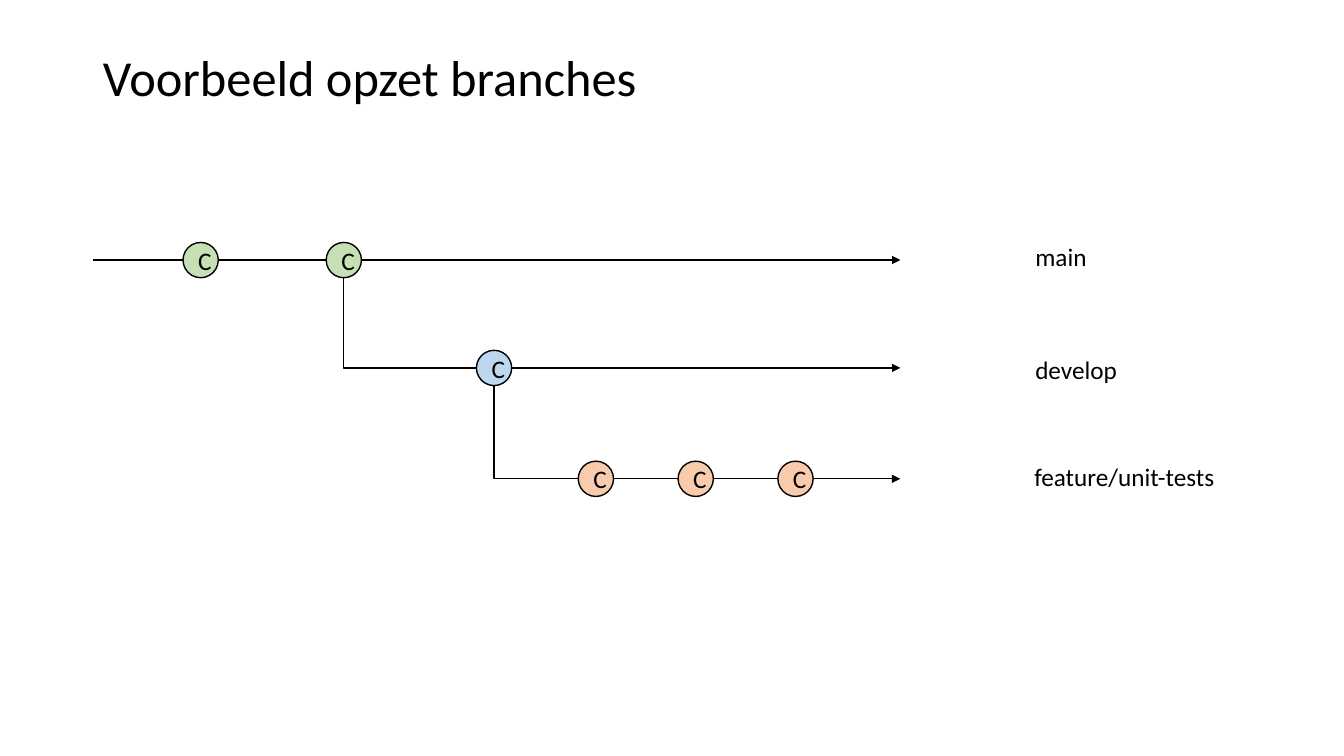
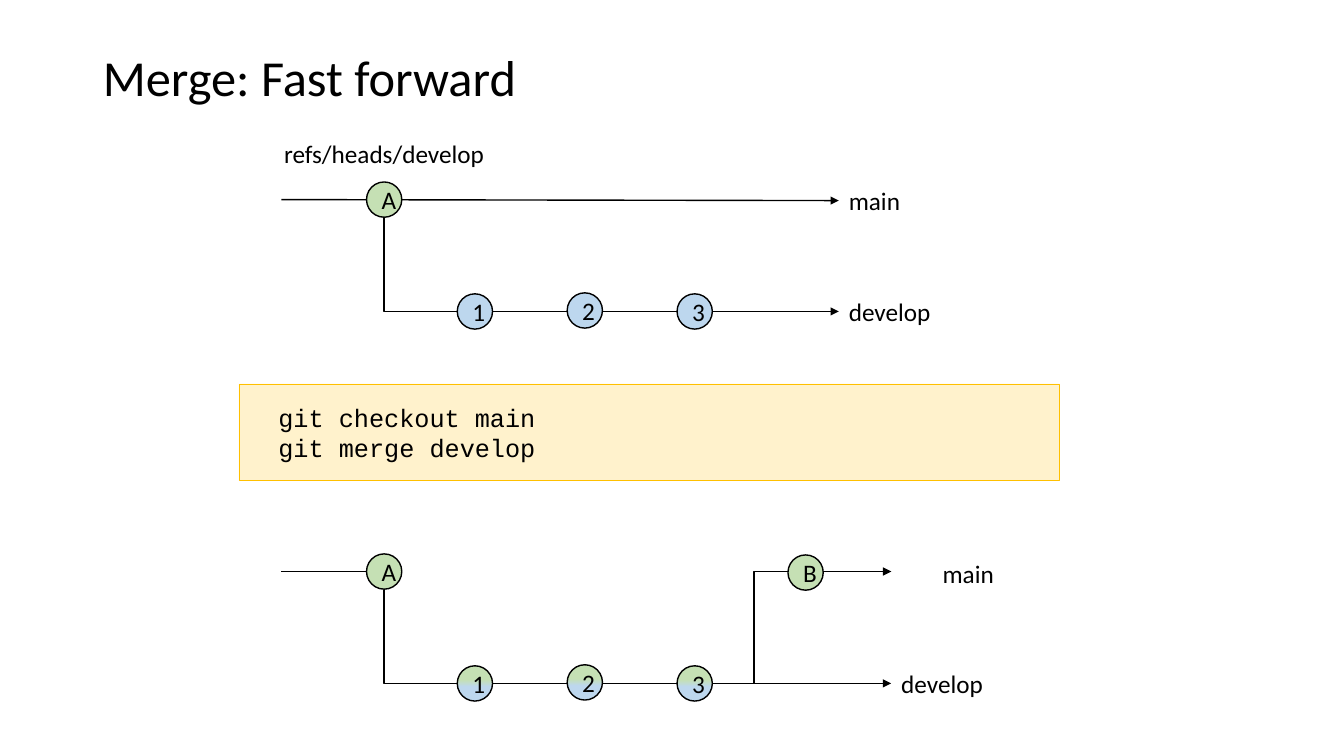
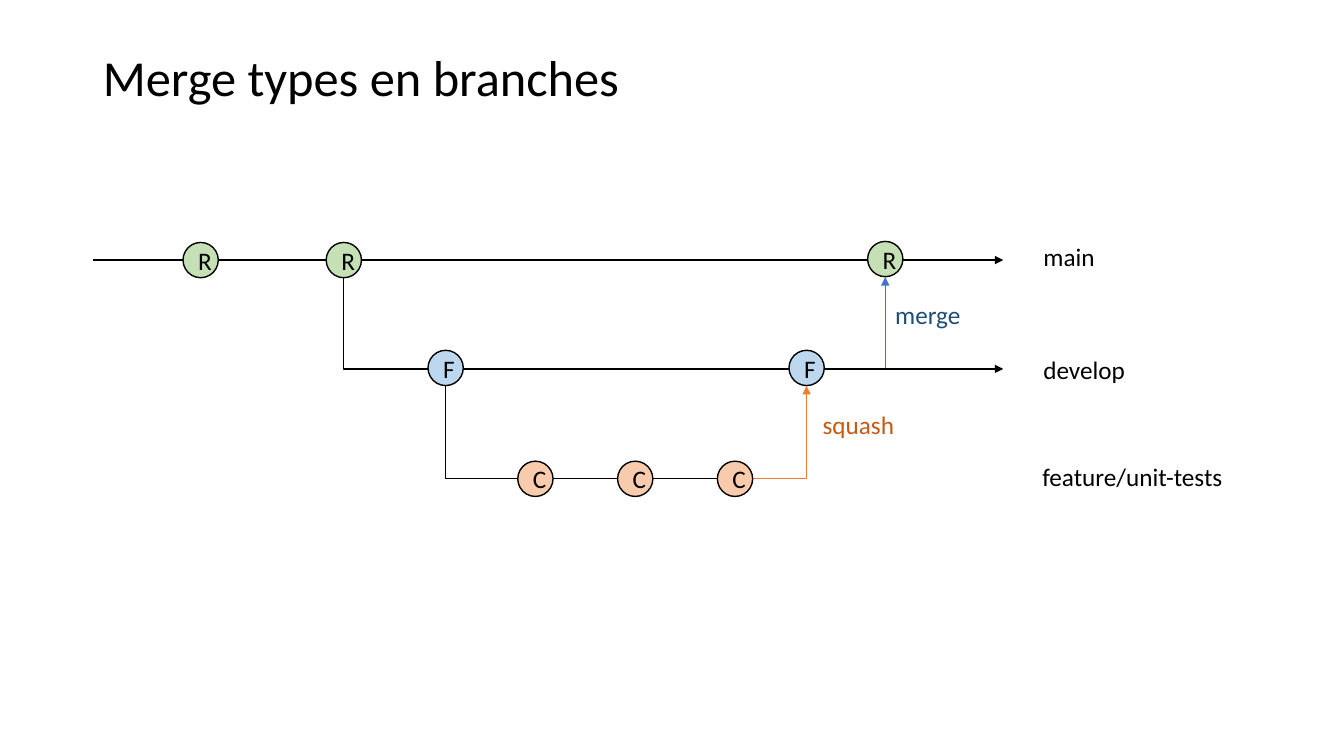
from lxml import etree
from pptx import Presentation
from pptx.dml.color import RGBColor
from pptx.enum.shapes import MSO_CONNECTOR as Link, MSO_SHAPE as Shape
from pptx.enum.text import MSO_ANCHOR as Anchor, PP_ALIGN as Align
from pptx.oxml.ns import qn
from pptx.util import Inches, Pt

# Shared style
BLACK, GREEN, BLUE, ORANGE = "000000", "C5E0B4", "BDD7EE", "F8CBAD"
MERGED = (GREEN, BLUE)
COMMIT_SIZE = 0.35
TITLE_BOX = (0.92, 0.4, 11.5, 0.79)
LABEL_HEIGHT = 0.4

# Rows of the three-branch graphs
MAIN, DEVELOP, FEATURE = 2.58, 3.65, 4.75
FEATURE_STEP = 0.99

# Fast forward graphs: before and after the merge
BEFORE, AFTER = 1.98, 5.67
DROP = 1.11
ROOT_X, FIRST_X, COMMIT_STEP = 3.81, 4.71, 1.09
COMMANDS = ["git checkout main", "git merge develop"]


def commit_row(labels, left, step, y, fill):
    return [(label, left + i * step, y, fill) for i, label in enumerate(labels)]


def develop_commits(main_y, fill):
    # The middle commit sits slightly higher than its neighbours
    row = commit_row("123", FIRST_X, COMMIT_STEP, main_y + DROP, fill)
    return [(label, x, y - 0.01 * (label == "2"), color) for label, x, y, color in row]


def branch_labels(left):
    return [("main", left, 2.34, 1.08, {}),
            ("develop", left, 3.47, 1.3, {}),
            ("feature/unit-tests", left - 0.01, 4.53, 2.19, {})]


# Lines: start, end, format. Commits: label, centre x, centre y, fill.
# Labels: text, left, top, width, format.
SLIDES = [
    dict(
        title="Voorbeeld opzet branches",
        lines=[((0.92, MAIN), (8.93, MAIN), dict(width=1.5)),
               ((3.41, 2.76), (8.93, DEVELOP), dict(bend=0)),
               ((4.9, 3.83), (8.93, FEATURE), dict(bend=0))],
        commits=[("C", 1.99, MAIN, GREEN), ("C", 3.41, MAIN, GREEN),
                 ("C", 4.9, DEVELOP, BLUE),
                 *commit_row("CCC", 5.91, FEATURE_STEP, FEATURE, ORANGE)],
        labels=branch_labels(10.17)),
    dict(
        title="Merge: Fast forward",
        lines=[((2.79, BEFORE), (8.32, BEFORE + 0.01), {}),
               ((ROOT_X, 2.15), (8.32, BEFORE + DROP), dict(bend=0)),
               ((2.79, AFTER), (3.63, AFTER), dict(arrow=False)),
               ((ROOT_X, 5.85), (8.84, AFTER + DROP), dict(bend=0)),
               ((7.07, AFTER + DROP), (8.84, AFTER), dict(bend=0.23))],
        commits=[("A", ROOT_X, BEFORE, GREEN), *develop_commits(BEFORE, BLUE),
                 ("A", ROOT_X, AFTER, GREEN), *develop_commits(AFTER, MERGED),
                 ("B", 7.99, AFTER + 0.01, GREEN)],
        labels=[("refs/heads/develop", 2.68, 1.32, 2.26, dict(align=Align.CENTER)),
                ("main", 8.32, 1.79, 1.08, {}),
                ("develop", 8.32, 2.89, 2.19, {}),
                ("main", 9.25, 5.49, 1.08, {}),
                ("develop", 8.84, 6.58, 1.67, {})],
        commands=COMMANDS),
    dict(
        title="Merge types en branches",
        lines=[((0.92, MAIN), (9.95, MAIN), dict(width=1.5)),
               ((3.41, 2.75), (9.95, 3.66), dict(bend=0)),
               ((4.42, 3.83), (7.11, FEATURE), dict(bend=0, arrow=False)),
               ((7.46, FEATURE), (8, 3.83), dict(corner=True, color="ED7D31")),
               ((8.78, DEVELOP), (8.78, 2.75), dict(color="4472C4"))],
        commits=[("R", 1.99, MAIN, GREEN), ("R", 3.41, MAIN, GREEN),
                 ("R", 8.78, MAIN - 0.01, GREEN),
                 ("F", 4.42, DEVELOP, BLUE), ("F", 8, DEVELOP, BLUE),
                 *commit_row("CCC", 5.31, FEATURE_STEP, FEATURE, ORANGE)],
        labels=branch_labels(10.25) + [
            ("squash", 8.06, 4.01, 1.1, dict(color="C55A11")),
            ("merge", 8.78, 2.92, 1.05, dict(color="1F4E79"))]),
]


def rgb(value):
    return RGBColor.from_string(value)


def write(frame, *texts, size=18, font="Calibri", color=BLACK, align=Align.LEFT,
          anchor=Anchor.TOP, spacing=None):
    frame.word_wrap = True
    frame.vertical_anchor = anchor
    for i, text in enumerate(texts):
        paragraph = frame.add_paragraph() if i else frame.paragraphs[0]
        paragraph.alignment = align
        paragraph.line_spacing = spacing
        run = paragraph.add_run()
        run.text = text
        run.font.size, run.font.name = Pt(size), font
        run.font.color.rgb = rgb(color)


def add_line(slide, start, end, bend=None, corner=False, color=BLACK, width=1, arrow=True):
    """bend: share of the width at which the line turns; corner: across, then up."""
    kind = Link.STRAIGHT if bend is None and not corner else Link.ELBOW
    line = slide.shapes.add_connector(kind, *map(Inches, start + end))
    line.line.color.rgb = rgb(color)
    line.line.width = Pt(width)
    properties = line._element.spPr
    geometry = properties.find(qn("a:prstGeom"))
    if corner:
        geometry.set("prst", "bentConnector2")
    elif bend is not None:
        guides = geometry.find(qn("a:avLst"))
        if guides is None:
            guides = etree.SubElement(geometry, qn("a:avLst"))
        etree.SubElement(guides, qn("a:gd"), name="adj1", fmla=f"val {round(bend * 100000)}")
    if arrow:
        etree.SubElement(properties.find(qn("a:ln")), qn("a:tailEnd"), type="triangle")
    etree.SubElement(properties, qn("a:effectLst"))


def add_box(slide, kind, box, fill, outline, width):
    shape = slide.shapes.add_shape(kind, *map(Inches, box))
    shape.shadow.inherit = False
    if isinstance(fill, tuple):
        shape.fill.gradient()
        shape.fill.gradient_angle = 270
        for stop, color, position in zip(shape.fill.gradient_stops, fill, (0.4, 0.6)):
            stop.color.rgb, stop.position = rgb(color), position
    else:
        shape.fill.solid()
        shape.fill.fore_color.rgb = rgb(fill)
    shape.line.color.rgb = rgb(outline)
    shape.line.width = Pt(width)
    return shape.text_frame


def add_commit(slide, label, x, y, fill):
    box = (x - COMMIT_SIZE / 2, y - COMMIT_SIZE / 2, COMMIT_SIZE, COMMIT_SIZE)
    frame = add_box(slide, Shape.OVAL, box, fill, BLACK, 1)
    write(frame, label, align=Align.CENTER, anchor=Anchor.MIDDLE)


def add_commands(slide, commands):
    frame = add_box(slide, Shape.RECTANGLE, (2.37, 3.81, 8.14, 0.96), "FFF2CC", "FFC000", 0.5)
    frame.margin_left = frame.margin_right = Inches(0.39)
    frame.margin_top = frame.margin_bottom = Inches(0.08)
    write(frame, *commands, font="Courier New", anchor=Anchor.MIDDLE)


def add_slide(deck, title, lines, commits, labels, commands=None):
    slide = deck.slides.add_slide(deck.slide_layouts[5])
    heading = slide.shapes.title
    heading.left, heading.top, heading.width, heading.height = map(Inches, TITLE_BOX)
    write(heading.text_frame, title, size=36, anchor=Anchor.MIDDLE, spacing=0.9)
    for start, end, style in lines:
        add_line(slide, start, end, **style)
    for commit in commits:
        add_commit(slide, *commit)
    for text, left, top, width, style in labels:
        box = slide.shapes.add_textbox(*map(Inches, (left, top, width, LABEL_HEIGHT)))
        write(box.text_frame, text, **style)
    if commands:
        add_commands(slide, commands)


def main():
    deck = Presentation()
    deck.slide_width, deck.slide_height = Inches(13.33), Inches(7.5)
    for content in SLIDES:
        add_slide(deck, **content)
    deck.save("out.pptx")


if __name__ == "__main__":
    main()
